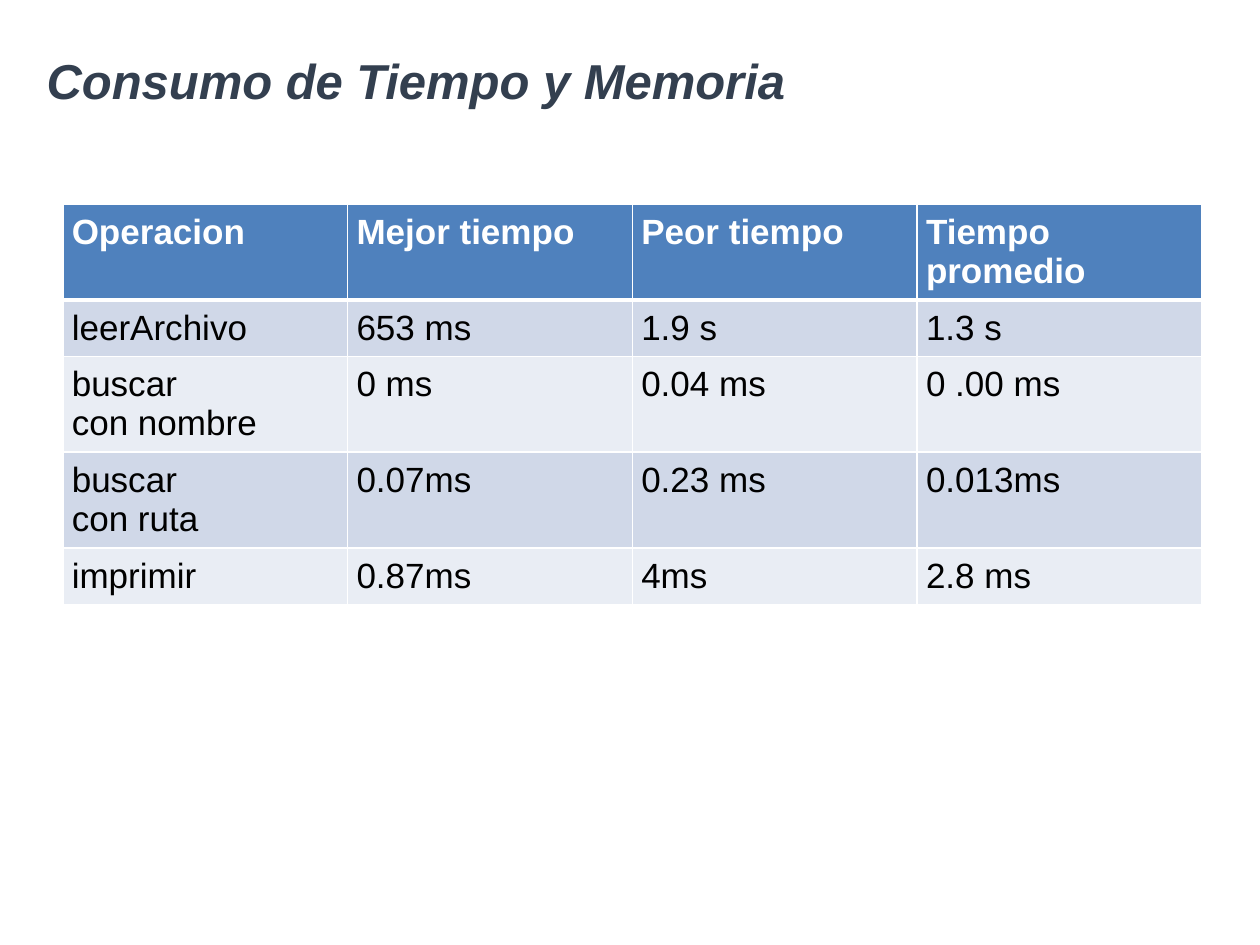
from dataclasses import dataclass

from lxml import etree
from pptx import Presentation
from pptx.dml.color import RGBColor
from pptx.enum import text
from pptx.oxml import ns
from pptx.util import Inches, Pt

COLORS = {
    "title": "333F4F",
    "header": "4F81BD",
    "band_dark": "D0D8E8",
    "band_light": "E9EDF4",
    "white": "FFFFFF",
    "black": "000000",
}
FONT = "Arial"
COLUMN_WIDTH = 2.26
CELL_MARGIN = 0.07


@dataclass
class Row:
    cells: list[str]
    height: float
    fill: str
    justified: bool = False
    header: bool = False


ROWS = [
    Row(["Operacion", "Mejor tiempo", "Peor tiempo", "Tiempo promedio"],
        0.44, "header", header=True),
    Row(["leerArchivo", "653 ms", "1.9 s", "1.3 s"], 0.43, "band_dark"),
    Row(["buscar\ncon nombre", "0 ms", "0.04 ms", "0 .00 ms"], 0.72, "band_light"),
    Row(["buscar\ncon ruta", "0.07ms", "0.23 ms", "0.013ms"],
        0.72, "band_dark", justified=True),
    Row(["imprimir", "0.87ms", "4ms", "2.8 ms"], 0.42, "band_light", justified=True),
]


def format_runs(p, size: float, color: str, bold: bool, italic: bool = False) -> None:
    for r in p.runs:
        r.font.name = FONT
        r.font.size = Pt(size)
        r.font.bold = bold
        r.font.italic = italic
        r.font.color.rgb = RGBColor.from_string(COLORS[color])


def set_borders(cell, top: float, bottom: float) -> None:
    tc_pr = cell._tc.get_or_add_tcPr()
    for side, width in (("L", 1), ("R", 1), ("T", top), ("B", bottom)):
        line = etree.SubElement(tc_pr, ns.qn(f"a:ln{side}"), w=str(Pt(width)))
        fill = etree.SubElement(line, ns.qn("a:solidFill"))
        etree.SubElement(fill, ns.qn("a:srgbClr"), val=COLORS["white"])


def fill_cell(cell, content: str, row: Row, below_header: bool) -> None:
    set_borders(cell, top=3 if below_header else 1, bottom=3 if row.header else 1)
    cell.fill.solid()
    cell.fill.fore_color.rgb = RGBColor.from_string(COLORS[row.fill])
    cell.margin_left = cell.margin_right = Inches(CELL_MARGIN)
    cell.margin_top = cell.margin_bottom = Inches(CELL_MARGIN)
    cell.text_frame.text = content
    for p in cell.text_frame.paragraphs:
        if row.justified:
            p.alignment = text.PP_ALIGN.JUSTIFY
        format_runs(p, 20, "white" if row.header else "black", bold=row.header)


def add_title(s) -> None:
    title = s.shapes.title
    title.left, title.top = Inches(0.27), Inches(0.33)
    title.width, title.height = Inches(8.62), Inches(0.67)
    tf = title.text_frame
    tf.text = "Consumo de Tiempo y Memoria"
    tf.word_wrap = True
    tf.auto_size = text.MSO_AUTO_SIZE.NONE
    tf.vertical_anchor = text.MSO_ANCHOR.MIDDLE
    p = tf.paragraphs[0]
    p.alignment = text.PP_ALIGN.LEFT
    p.line_spacing = 0.9
    format_runs(p, 28, "title", bold=True, italic=True)


def add_times_table(s, rows: list[Row]) -> None:
    columns = len(rows[0].cells)
    table = s.shapes.add_table(
        len(rows), columns, Inches(0.5), Inches(1.62),
        Inches(COLUMN_WIDTH * columns), Inches(sum(row.height for row in rows)),
    ).table
    for column in table.columns:
        column.width = Inches(COLUMN_WIDTH)
    for i, row in enumerate(rows):
        table.rows[i].height = Inches(row.height)
        for j, content in enumerate(row.cells):
            fill_cell(table.cell(i, j), content, row, below_header=i == 1)


def main() -> None:
    prs = Presentation()
    prs.slide_width, prs.slide_height = Inches(10), Inches(7.5)
    s = prs.slides.add_slide(prs.slide_layouts[5])  # title only

    # Heading
    add_title(s)

    # Time per operation
    add_times_table(s, ROWS)

    prs.save("out.pptx")


if __name__ == "__main__":
    main()
